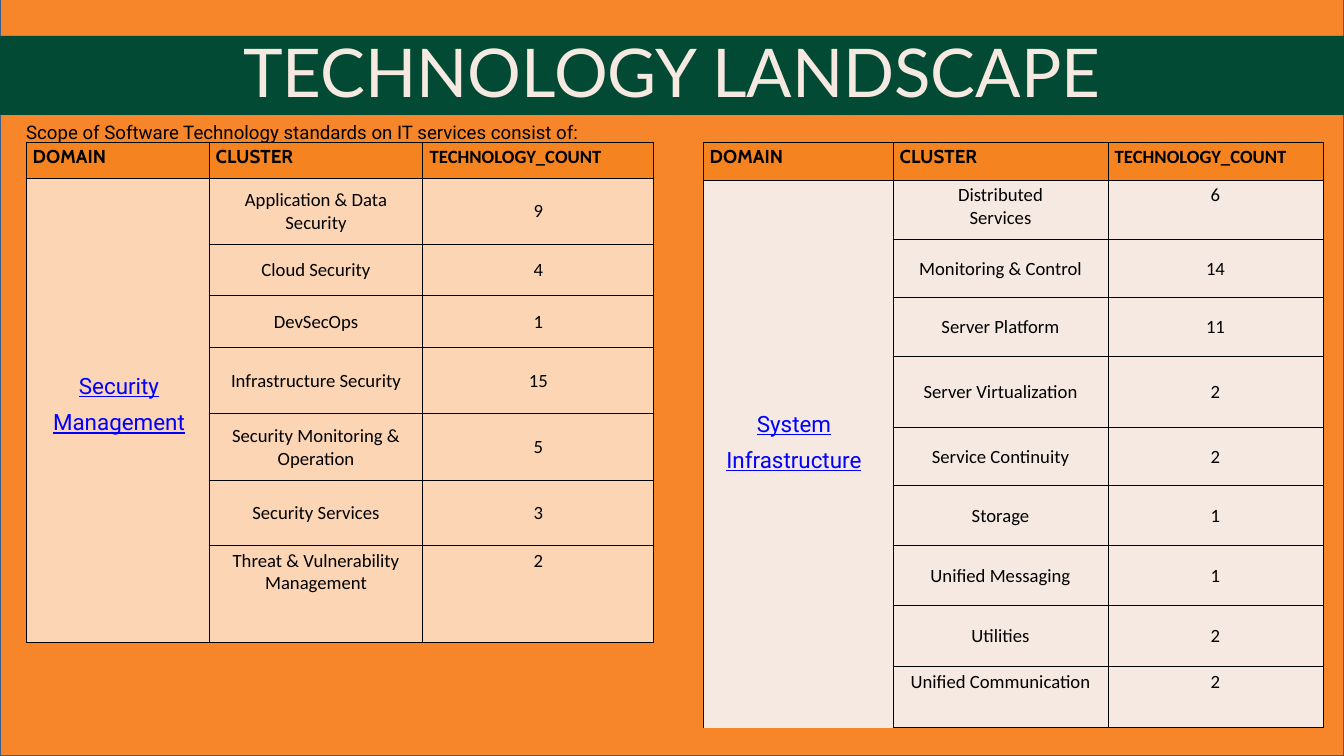
import lxml.etree
import pptx
import pptx.dml.color
import pptx.enum.shapes
import pptx.enum.text
import pptx.oxml.ns
import pptx.util

EMU_PER_PX = 914400 / 67.2
COLORS = {
    "orange": "F7862A",
    "outline": "3A5F8C",
    "green": "024A34",
    "cream": "F6E9E1",
    "header": "F58320",
    "peach": "FCD5B5",
    "link": "0000FF",
    "black": "000000",
}
HEADINGS = [("DOMAIN", "Cabin"), ("CLUSTER", "Cabin"), ("TECHNOLOGY_COUNT", "Calibri")]
BORDER_PT = 1.12

SECURITY = [
    ("Application & Data Security", 9),
    ("Cloud Security", 4),
    ("DevSecOps", 1),
    ("Infrastructure Security", 15),
    ("Security Monitoring & Operation", 5),
    ("Security Services", 3),
    ("Threat & Vulnerability Management", 2),
]
SYSTEM = [
    ("Distributed\nServices", 6),
    ("Monitoring & Control", 14),
    ("Server Platform", 11),
    ("Server Virtualization", 2),
    ("Service Continuity", 2),
    ("Storage", 1),
    ("Unified Messaging", 1),
    ("Utilities", 2),
    ("Unified Communication", 2),
]


def px(value):
    return pptx.util.Emu(round(value * EMU_PER_PX))


def rgb(name):
    return pptx.dml.color.RGBColor.from_string(COLORS[name])


def style_font(font, name, size, color, bold=False, underline=False):
    font.name = name
    font.size = pptx.util.Pt(size)
    font.color.rgb = rgb(color)
    font.bold = bold
    font.underline = underline


def add_band(page, left, top, width, height, fill, line=None):
    band = page.shapes.add_shape(
        pptx.enum.shapes.MSO_SHAPE.RECTANGLE, px(left), px(top), px(width), px(height))
    band.shadow.inherit = False
    band.fill.solid()
    band.fill.fore_color.rgb = rgb(fill)
    if line:
        band.line.color.rgb = rgb(line)
        band.line.width = pptx.util.Pt(2)
    else:
        band.line.fill.background()


def add_text(page, left, top, width, height, text, font, size, color, spacing,
             centered=True, underline=False):
    box = page.shapes.add_textbox(px(left), px(top), px(width), px(height))
    frame = box.text_frame
    frame.word_wrap = True
    frame.auto_size = pptx.enum.text.MSO_AUTO_SIZE.SHAPE_TO_FIT_TEXT
    frame.margin_left = frame.margin_top = frame.margin_right = frame.margin_bottom = 0
    para = frame.paragraphs[0]
    para.text = text
    para.line_spacing = pptx.util.Pt(spacing)
    if centered:
        para.alignment = pptx.enum.text.PP_ALIGN.CENTER
    style_font(para.font, font, size, color, underline=underline)


def style_cell(cell, fill, sides="LRTB"):
    """Fill a cell and draw borders on the named sides only."""
    qn = pptx.oxml.ns.qn
    properties = cell._tc.get_or_add_tcPr()
    for side in "LRTB":
        line = lxml.etree.SubElement(
            properties, qn(f"a:ln{side}"), w=str(pptx.util.Pt(BORDER_PT)))
        if side in sides:
            paint = lxml.etree.SubElement(line, qn("a:solidFill"))
            lxml.etree.SubElement(paint, qn("a:srgbClr"), val=COLORS["black"])
        else:
            lxml.etree.SubElement(line, qn("a:noFill"))
    cell.fill.solid()
    cell.fill.fore_color.rgb = rgb(fill)


def write_cell(cell, text, font="Calibri", bold=False, centered=True, middle=False):
    cell.text_frame.text = text
    if middle:
        cell.vertical_anchor = pptx.enum.text.MSO_ANCHOR.MIDDLE
    for para in cell.text_frame.paragraphs:
        if centered:
            para.alignment = pptx.enum.text.PP_ALIGN.CENTER
        style_font(para.font, font, 20, "black", bold=bold)


def add_domain_table(page, left, top, widths, heights, clusters, fill, top_rows,
                     domain_sides):
    """domain_sides gives the borders of each domain cell below the header."""
    table = page.shapes.add_table(
        len(heights), len(widths), px(left), px(top),
        px(sum(widths)), px(sum(heights))).table
    table.horz_banding = False
    for column, width in zip(table.columns, widths):
        column.width = px(width)
    for row, height in zip(table.rows, heights):
        row.height = px(height)

    # Header row
    for index, (heading, font) in enumerate(HEADINGS):
        style_cell(table.cell(0, index), "header")
        write_cell(table.cell(0, index), heading, font, bold=True, centered=False)

    # One row for each cluster
    for index, (cluster, count) in enumerate(clusters, start=1):
        style_cell(table.cell(index, 0), fill, domain_sides[index - 1])
        for column, text in ((1, cluster), (2, str(count))):
            cell = table.cell(index, column)
            style_cell(cell, fill)
            write_cell(cell, text, middle=index not in top_rows)

    # Domain cell spans the rows that share its borders
    span = domain_sides.count(domain_sides[0])
    table.cell(1, 0).merge(table.cell(span, 0))


def main():
    deck = pptx.Presentation()
    deck.slide_width, deck.slide_height = px(1344), px(756)
    page = deck.slides.add_slide(deck.slide_layouts[6])

    # Background and title
    add_band(page, 0, -4, 1344, 760, "orange", line="outline")
    add_band(page, 0, 36, 1344, 79, "green")
    add_text(page, 119, 50, 1106, 64, "TECHNOLOGY LANDSCAPE", "Lato", 72, "cream", 64.8)
    add_text(page, 26, 104, 896, 35,
             "Scope of Software Technology standards on IT services consist of:",
             "Roboto", 20, "black", 42.1, centered=False)

    # Security management
    add_domain_table(page, 26, 142, [183, 214, 231], [36, 67, 51, 52, 66, 67, 65, 97],
                     SECURITY, "peach", {7}, ["LRTB"] * 7)
    add_text(page, 47, 362, 144, 73, "Security Management", "Roboto", 24, "link", 39.2,
             underline=True)

    # System infrastructure
    add_domain_table(page, 703, 142, [190, 215, 215],
                     [38, 60, 58, 59, 71, 58, 60, 60, 61, 61],
                     SYSTEM, "cream", {1, 9}, ["LRT"] * 8 + ["LR"])
    add_text(page, 726, 400, 136, 71, "System Infrastructure", "Roboto", 24, "link", 39.2,
             underline=True)

    deck.save("out.pptx")


if __name__ == "__main__":
    main()
